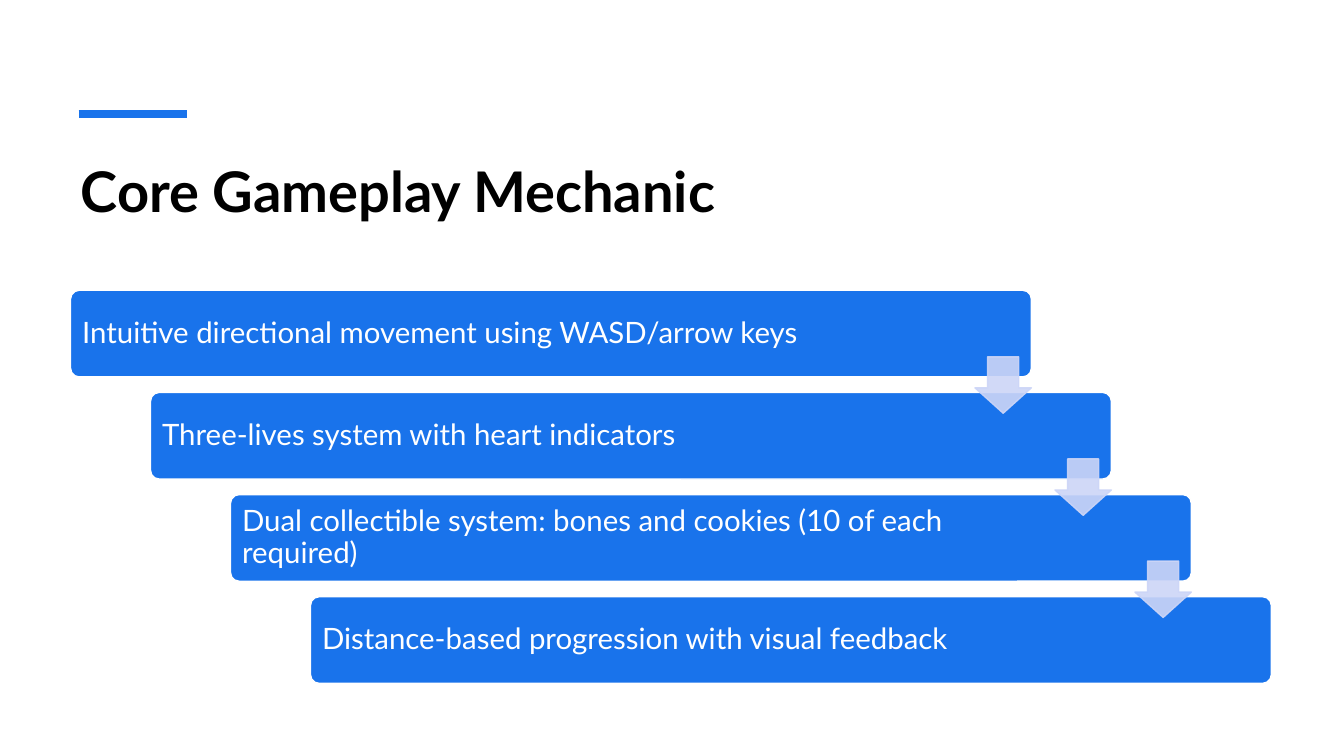
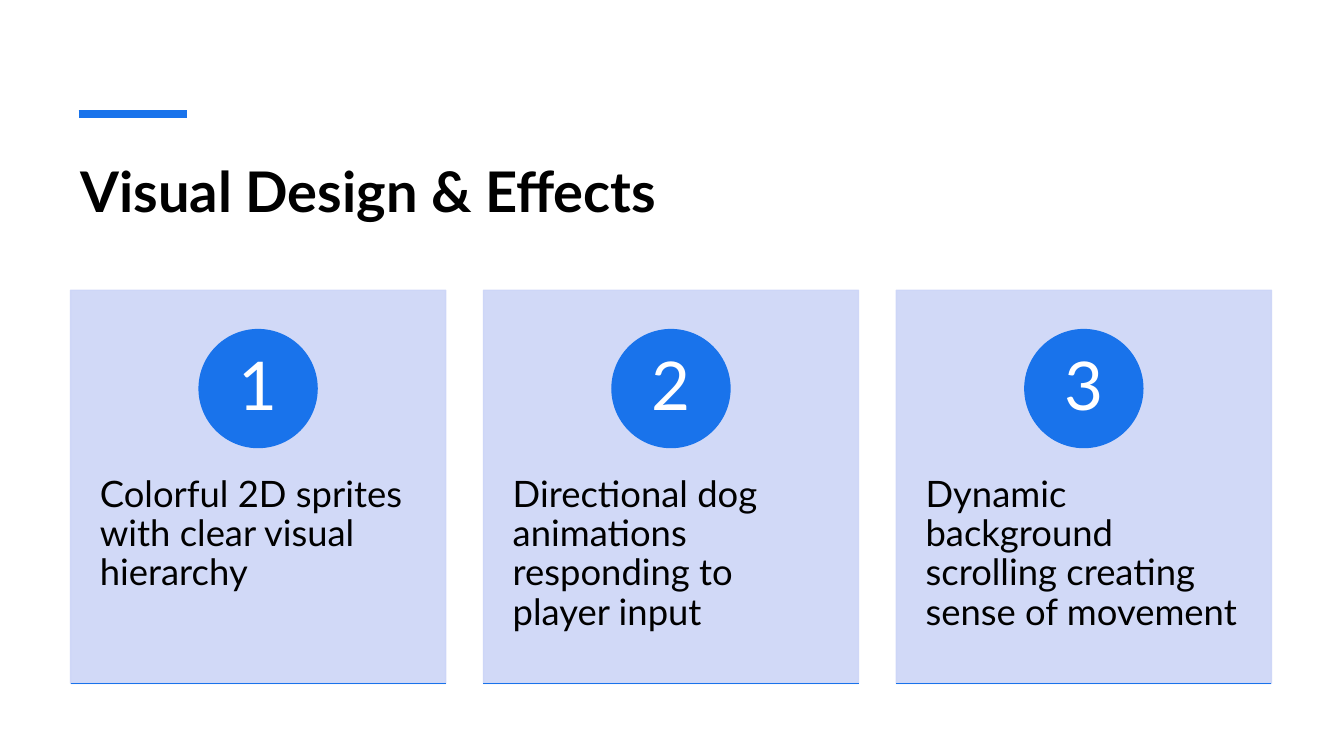
"""Builds two game-design slides: a staircase of mechanics and three numbered cards."""
from lxml.etree import SubElement
from pptx import Presentation
from pptx.dml.color import RGBColor
from pptx.enum.shapes import MSO_CONNECTOR as Connector, MSO_SHAPE as Shape
from pptx.enum.text import MSO_ANCHOR as Anchor, MSO_AUTO_SIZE as AutoSize, PP_ALIGN as Align
from pptx.oxml.ns import qn
from pptx.util import Inches, Pt

BLUE = RGBColor(0x19, 0x73, 0xEB)
LAVENDER = RGBColor(0xCC, 0xD5, 0xF7)
WHITE = RGBColor(0xFF, 0xFF, 0xFF)
BLACK = RGBColor(0x00, 0x00, 0x00)

FONT = "Lato"
LEFT, TOP, WIDTH, HEIGHT = 0.7, 2.88, 11.91, 3.9

MECHANICS = [
    "Intuitive directional movement using WASD/arrow keys",
    "Three-lives system with heart indicators",
    "Dual collectible system: bones and cookies (10 of each required)",
    "Distance-based progression with visual feedback",
]
EFFECTS = [
    "Colorful 2D sprites with clear visual hierarchy",
    "Directional dog animations responding to player input",
    "Dynamic background scrolling creating sense of movement",
]


class Deck:
    """Holds the presentation, its style and the current slide."""

    def __init__(self):
        """Start an empty widescreen presentation."""
        self.presentation = Presentation()
        self.presentation.slide_width = Inches(13.33)
        self.presentation.slide_height = Inches(7.5)
        self.slide = None

    def add_slide(self, title):
        """Add a slide with the accent line and a title."""
        self.slide = self.presentation.slides.add_slide(self.presentation.slide_layouts[5])
        self.add_line(0.78, 1.13, 1.07, 6)
        placeholder = self.slide.shapes.title
        placeholder.left, placeholder.top = Inches(LEFT), Inches(1.5)
        placeholder.width, placeholder.height = Inches(WIDTH), Inches(1.2)
        self.set_text(placeholder, title, 40, BLACK, anchor=Anchor.TOP, spacing=1, bold=True)

    def add_line(self, left, top, width, weight):
        """Draw a horizontal blue line."""
        connector = self.slide.shapes.add_connector(
            Connector.STRAIGHT, Inches(left), Inches(top), Inches(left + width), Inches(top))
        connector.line.color.rgb = BLUE
        connector.line.width = Pt(weight)
        SubElement(connector.element.spPr, qn("a:effectLst"))

    def add_shape(self, kind, left, top, width, height, fill, line, adjustments=(), opacity=None):
        """Draw a filled and outlined preset shape."""
        shape = self.slide.shapes.add_shape(
            kind, Inches(left), Inches(top), Inches(width), Inches(height))
        shape.shadow.inherit = False
        for index, value in enumerate(adjustments):
            shape.adjustments[index] = value
        shape.fill.solid()
        shape.fill.fore_color.rgb = fill
        shape.line.color.rgb = line
        shape.line.width = Pt(1)
        if opacity is not None:
            for color in shape.element.spPr.iter(qn("a:srgbClr")):
                SubElement(color, qn("a:alpha")).set("val", str(opacity * 1000))
        return shape

    def set_text(self, shape, text, size, color, margins=(0.1, 0.05, 0.1, 0.05),
                 anchor=Anchor.MIDDLE, align=Align.LEFT, spacing=0.9, bold=False):
        """Put one styled paragraph into a shape."""
        frame = shape.text_frame
        frame.text = text
        frame.word_wrap = True
        frame.auto_size = AutoSize.NONE
        frame.vertical_anchor = anchor
        (frame.margin_left, frame.margin_top,
         frame.margin_right, frame.margin_bottom) = map(Inches, margins)
        paragraph = frame.paragraphs[0]
        paragraph.alignment = align
        paragraph.line_spacing = spacing
        font = paragraph.runs[0].font
        font.name, font.size, font.bold = FONT, Pt(size), bold
        font.color.rgb = color

    def add_staircase(self, texts):
        """Draw descending bars joined by arrows."""
        bar_width, bar_height, arrow = 9.53, 0.86, 0.56
        steps = len(texts) - 1
        corners = [(LEFT + index * (WIDTH - bar_width) / steps,
                    TOP + index * (HEIGHT - bar_height) / steps)
                   for index in range(len(texts))]
        for (left, top), text in zip(corners, texts):
            bar = self.add_shape(Shape.ROUNDED_RECTANGLE, left, top, bar_width, bar_height,
                                 BLUE, WHITE, [0.1])
            self.set_text(bar, text, 21, WHITE, (0.09, 0.09, 1.46, 0.09))
        for left, top in corners[:-1]:
            self.add_shape(Shape.DOWN_ARROW, left + bar_width - arrow, top + 0.66, arrow, arrow,
                           LAVENDER, LAVENDER, [0.55, 0.45], 90)

    def add_cards(self, texts):
        """Draw a row of numbered cards."""
        card_width, circle_size = 3.72, 1.17
        step = (WIDTH - card_width) / (len(texts) - 1)
        for index, text in enumerate(texts):
            left = LEFT + index * step
            card = self.add_shape(Shape.RECTANGLE, left, TOP, card_width, HEIGHT,
                                  LAVENDER, LAVENDER, opacity=90)
            self.set_text(card, text, 26, BLACK, (0.29, 1.84, 0.29, 0.36), Anchor.TOP)
            circle = self.add_shape(Shape.OVAL, left + (card_width - circle_size) / 2, TOP + 0.39,
                                    circle_size, circle_size, BLUE, BLUE)
            self.set_text(circle, str(index + 1), 48, WHITE, (0.09, 0.01, 0.09, 0.01),
                          align=Align.CENTER)
            self.add_line(left, TOP + HEIGHT, card_width, 1)


def main():
    """Build and save the slides."""
    deck = Deck()
    deck.add_slide("Core Gameplay Mechanic")
    deck.add_staircase(MECHANICS)
    deck.add_slide("Visual Design & Effects")
    deck.add_cards(EFFECTS)
    deck.presentation.save("out.pptx")


if __name__ == "__main__":
    main()
